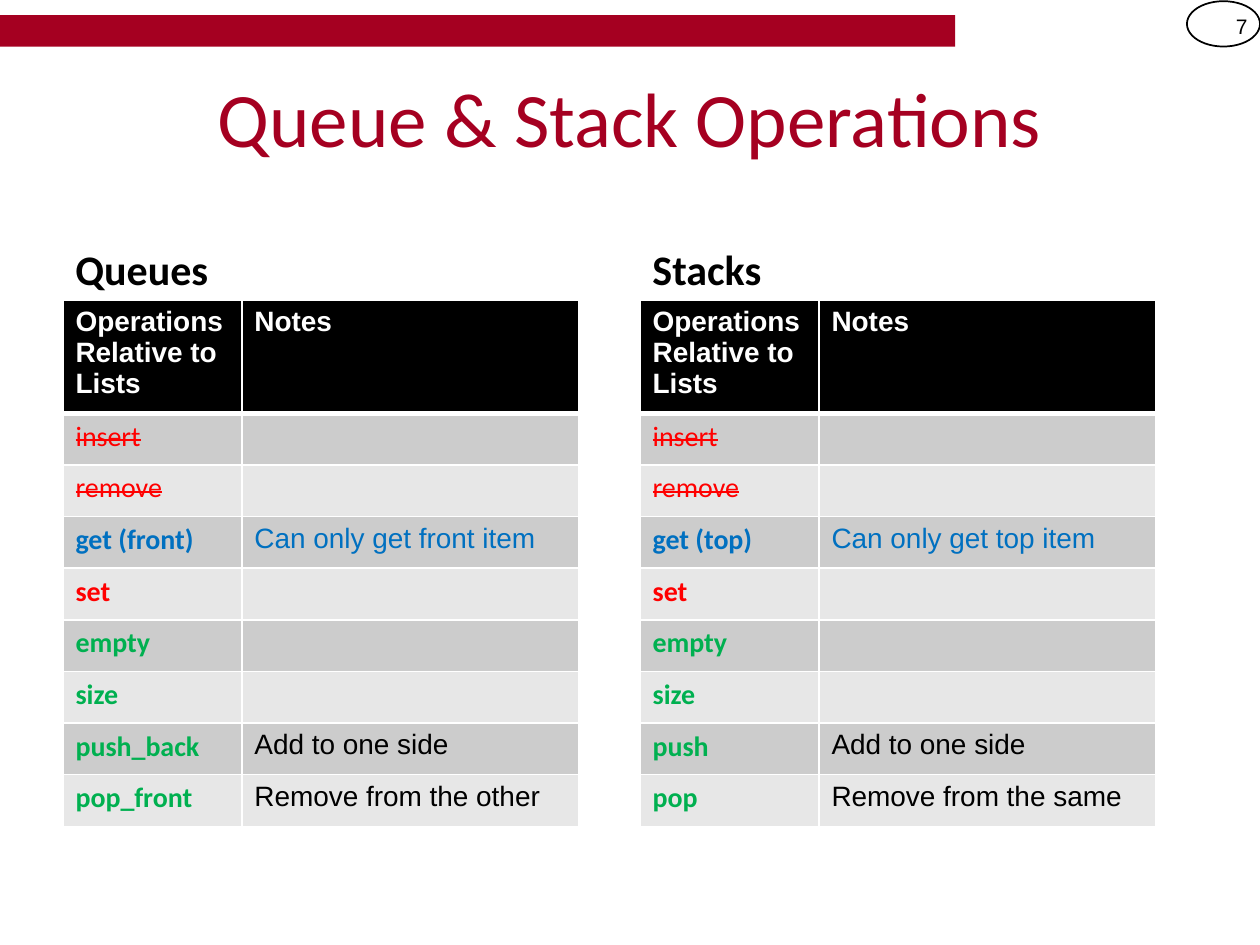
from lxml.etree import SubElement
from pptx import Presentation
from pptx.dml.color import RGBColor
from pptx.enum.shapes import MSO_SHAPE
from pptx.enum.text import MSO_ANCHOR, PP_ALIGN
from pptx.oxml.ns import qn
from pptx.util import Inches, Pt

HUES = {"wine": "A50021", "black": "000000", "white": "FFFFFF", "red": "FF0000",
        "blue": "0070C0", "green": "00B050", "dark": "CCCCCC", "light": "E7E7E7"}
HEAD = {"size": Pt(16), "name": "Arial", "bold": True}
NAME = {"size": Pt(16), "name": "Calibri", "bold": True}
GONE = {"size": Pt(16), "name": "Calibri", "bold": False}
NOTE = {"size": Pt(16), "name": "Arial", "bold": False}
LABEL = {"size": Pt(24), "name": "Calibri", "bold": True}
TITLE = {"size": Pt(44), "name": "Calibri", "bold": False}
PAGE = {"size": Pt(12), "name": "Arial", "bold": False}
COLS = (1.42, 2.67)
ROW = 0.41


def hue(key):
    """Return the named colour."""
    return RGBColor.from_string(HUES[key])


def write(frame, text, form, tint, align=PP_ALIGN.LEFT, strike=False):
    """Put one formatted run into a text frame."""
    para = frame.paragraphs[0]
    para.alignment = align
    run = para.add_run()
    run.text = text
    for key, value in form.items():
        setattr(run.font, key, value)
    run.font.color.rgb = hue(tint)
    if strike:
        run._r.get_or_add_rPr().set("strike", "sngStrike")


def add_text(slide, box, text, form, anchor, align=PP_ALIGN.LEFT):
    """Add a wrapped text box."""
    frame = slide.shapes.add_textbox(*map(Inches, box)).text_frame
    frame.word_wrap = True
    frame.vertical_anchor = anchor
    write(frame, text, form, "black", align)


def add_form(slide, kind, box, fill=None, line=None):
    """Add a flat preset shape."""
    shape = slide.shapes.add_shape(kind, *map(Inches, box))
    shape.shadow.inherit = False
    if fill:
        shape.fill.solid()
        shape.fill.fore_color.rgb = hue(fill)
    else:
        shape.fill.background()
    if line:
        shape.line.color.rgb = hue(line)
        shape.line.width = Pt(1)
    else:
        shape.line.fill.background()


def edge(cell, heavy):
    """Draw white borders, with a thick one below a header cell."""
    props = cell._tc.get_or_add_tcPr()
    for spot, side in enumerate(("lnL", "lnR", "lnT", "lnB")):
        width = Pt(3 if heavy and side == "lnB" else 1)
        line = SubElement(props, qn(f"a:{side}"), w=str(width))
        fill = SubElement(line, qn("a:solidFill"))
        SubElement(fill, qn("a:srgbClr"), val=HUES["white"])
        props.insert(spot, line)


def add_grid(slide, left, rows):
    """Add a table of operations and notes."""
    box = (left, 2.38, sum(COLS), ROW * (len(rows) + 1))
    grid = slide.shapes.add_table(len(rows) + 1, 2, *map(Inches, box)).table
    for col, width in zip(grid.columns, COLS):
        col.width = Inches(width)
    for i, row in enumerate(grid.rows):
        row.height = Inches(ROW)
        for cell in row.cells:
            cell.fill.solid()
            cell.fill.fore_color.rgb = hue("black" if i == 0 else "dark" if i % 2 else "light")
            edge(cell, i == 0)
    for j, text in enumerate(("Operations Relative to Lists", "Notes")):
        write(grid.cell(0, j).text_frame, text, HEAD, "white")
    for i, (name, tint, note) in enumerate(rows, 1):
        gone = name in ("insert", "remove")
        write(grid.cell(i, 0).text_frame, name, GONE if gone else NAME, tint, strike=gone)
        if note:
            shade = "blue" if tint == "blue" else "black"
            write(grid.cell(i, 1).text_frame, note, NOTE, shade)


def list_ops(end, push, pop, side):
    """List the operations of one container."""
    return [("insert", "red", ""), ("remove", "red", ""),
            (f"get ({end})", "blue", f"Can only get {end} item"),
            ("set", "red", ""), ("empty", "green", ""), ("size", "green", ""),
            (push, "green", "Add to one side"),
            (pop, "green", f"Remove from the {side}")]


def add_title(slide, text):
    """Place and fill the title."""
    title = slide.shapes.title
    spots = dict(zip(("left", "top", "width", "height"), (0.5, 0.3, 9, 1.25)))
    for key, value in spots.items():
        setattr(title, key, Inches(value))
    title.text_frame.vertical_anchor = MSO_ANCHOR.MIDDLE
    write(title.text_frame, text, TITLE, "wine", PP_ALIGN.CENTER)


def main():
    """Build the slide."""
    deck = Presentation()
    deck.slide_width, deck.slide_height = Inches(10), Inches(7.5)
    slide = deck.slides.add_slide(deck.slide_layouts[5])
    add_text(slide, (9.42, 0.01, 0.58, 0.4), "7", PAGE, MSO_ANCHOR.MIDDLE, PP_ALIGN.RIGHT)
    add_form(slide, MSO_SHAPE.RECTANGLE, (0, 0.12, 7.58, 0.25), fill="wine")
    add_form(slide, MSO_SHAPE.OVAL, (9.42, 0.01, 0.58, 0.36), line="black")
    add_title(slide, "Queue & Stack Operations")
    sides = ((0.5, "Queues", list_ops("front", "push_back", "pop_front", "other")),
             (5.08, "Stacks", list_ops("top", "push", "pop", "same")))
    for left, label, rows in sides:
        add_text(slide, (left, 1.68, 4.42, 0.7), label, LABEL, MSO_ANCHOR.BOTTOM)
        add_grid(slide, left, rows)
    deck.save("out.pptx")


if __name__ == "__main__":
    main()
